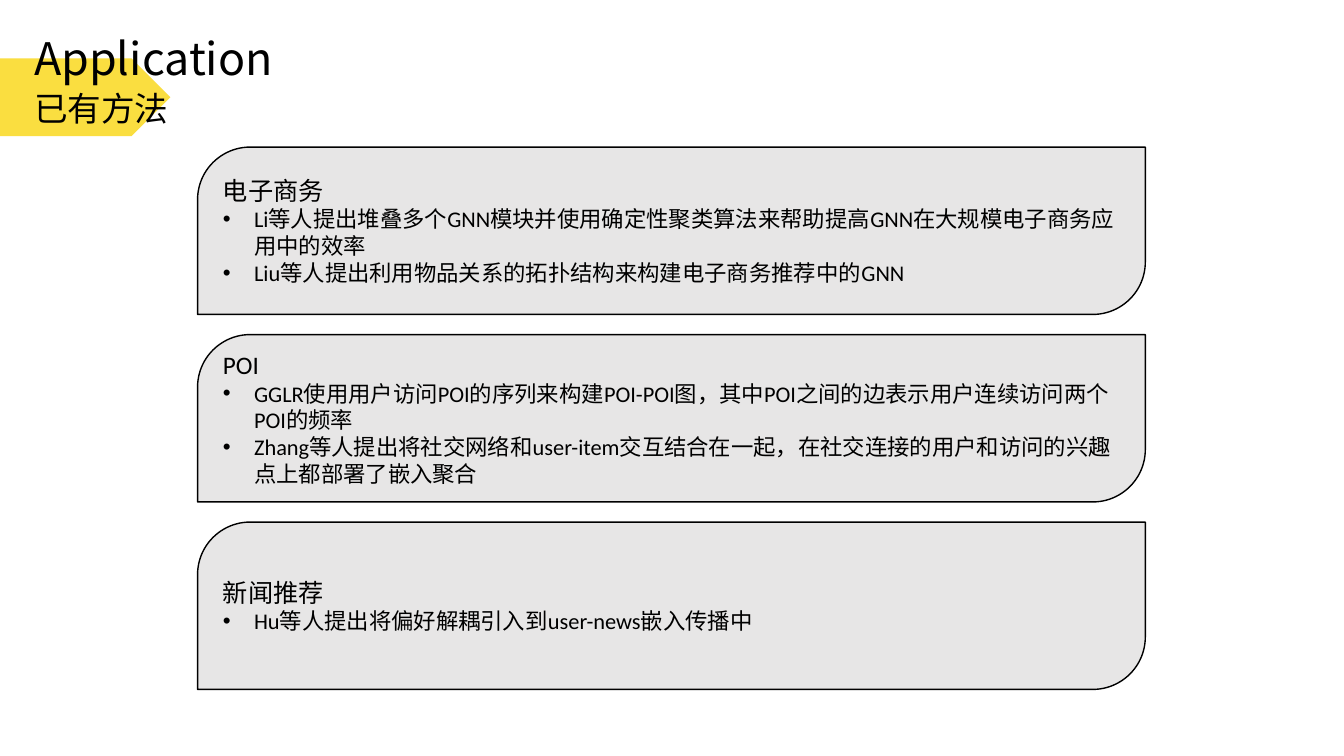
from lxml.etree import SubElement
from pptx import Presentation
from pptx.dml.color import RGBColor
from pptx.enum.shapes import MSO_SHAPE
from pptx.enum.text import MSO_ANCHOR, MSO_AUTO_SIZE, PP_ALIGN
from pptx.oxml.ns import qn
from pptx.util import Inches, Pt

BLACK = RGBColor(0x00, 0x00, 0x00)
YELLOW = RGBColor(0xFA, 0xDE, 0x40)
GREY = RGBColor(0xE7, 0xE6, 0xE6)
HEADING_FONT = "Noto Sans CJK SC"
BODY_FONT = "Calibri"

CARD_TOP = 1.46
CARD_STEP = 1.86
APPLICATIONS = [
    ("电子商务", [
        "Li等人提出堆叠多个GNN模块并使用确定性聚类算法来帮助提高GNN在大规模电子商务应用中的效率",
        "Liu等人提出利用物品关系的拓扑结构来构建电子商务推荐中的GNN",
    ]),
    ("POI", [
        "GGLR使用用户访问POI的序列来构建POI-POI图，其中POI之间的边表示用户连续访问两个POI的频率",
        "Zhang等人提出将社交网络和user-item交互结合在一起，在社交连接的用户和访问的兴趣点上都部署了嵌入聚合",
    ]),
    ("新闻推荐", ["Hu等人提出将偏好解耦引入到user-news嵌入传播中"]),
]


def add_text(p, text, size, font):
    """Add a black run whose East Asian glyphs use the heading font."""
    p.alignment = PP_ALIGN.LEFT
    r = p.add_run()
    r.text = text
    for name, value in {"size": Pt(size), "name": font}.items():
        setattr(r.font, name, value)
    r.font.color.rgb = BLACK
    SubElement(r.font._element, qn("a:ea"), typeface=HEADING_FONT)


def add_bullet(p):
    pPr = p._p.get_or_add_pPr()
    pPr.set("marL", str(Inches(0.31)))
    pPr.set("indent", str(-Inches(0.31)))
    SubElement(pPr, qn("a:buFont"), typeface="Arial")
    SubElement(pPr, qn("a:buChar"), char="•")


def add_shape(slide, kind, left, top, width, height, fill):
    sp = slide.shapes.add_shape(
        kind, Inches(left), Inches(top), Inches(width), Inches(height))
    sp.shadow.inherit = False
    sp.fill.solid()
    sp.fill.fore_color.rgb = fill
    sp.line.fill.background()
    return sp


def add_heading(slide, text, top, width, height, size):
    sp = slide.shapes.add_textbox(
        Inches(0.24), Inches(top), Inches(width), Inches(height))
    tf = sp.text_frame
    tf.word_wrap = True
    tf.auto_size = MSO_AUTO_SIZE.SHAPE_TO_FIT_TEXT
    add_text(tf.paragraphs[0], text, size, HEADING_FONT)


def add_card(slide, top, title, points):
    sp = add_shape(slide, MSO_SHAPE.ROUND_2_DIAG_RECTANGLE,
                   1.96, top, 9.4, 1.66, GREY)
    sp.adjustments[0] = 0.314
    sp.line.color.rgb = BLACK
    sp.line.width = Pt(1)
    tf = sp.text_frame
    tf.word_wrap = True
    tf.vertical_anchor = MSO_ANCHOR.MIDDLE
    add_text(tf.paragraphs[0], title, 18, BODY_FONT)
    for point in points:
        p = tf.add_paragraph()
        add_text(p, point, 16, BODY_FONT)
        add_bullet(p)


def main():
    prs = Presentation()
    prs.slide_width = Inches(13.33)
    prs.slide_height = Inches(7.5)
    slide = prs.slides.add_slide(prs.slide_layouts[6])
    add_shape(slide, MSO_SHAPE.PENTAGON, 0, 0.58, 1.69, 0.77, YELLOW)
    add_heading(slide, "Application", 0.26, 8.12, 0.64, 32)
    add_heading(slide, "已有方法", 0.82, 4.03, 0.5, 24)
    for i, (title, points) in enumerate(APPLICATIONS):
        add_card(slide, CARD_TOP + i * CARD_STEP, title, points)
    prs.save("out.pptx")


if __name__ == "__main__":
    main()
